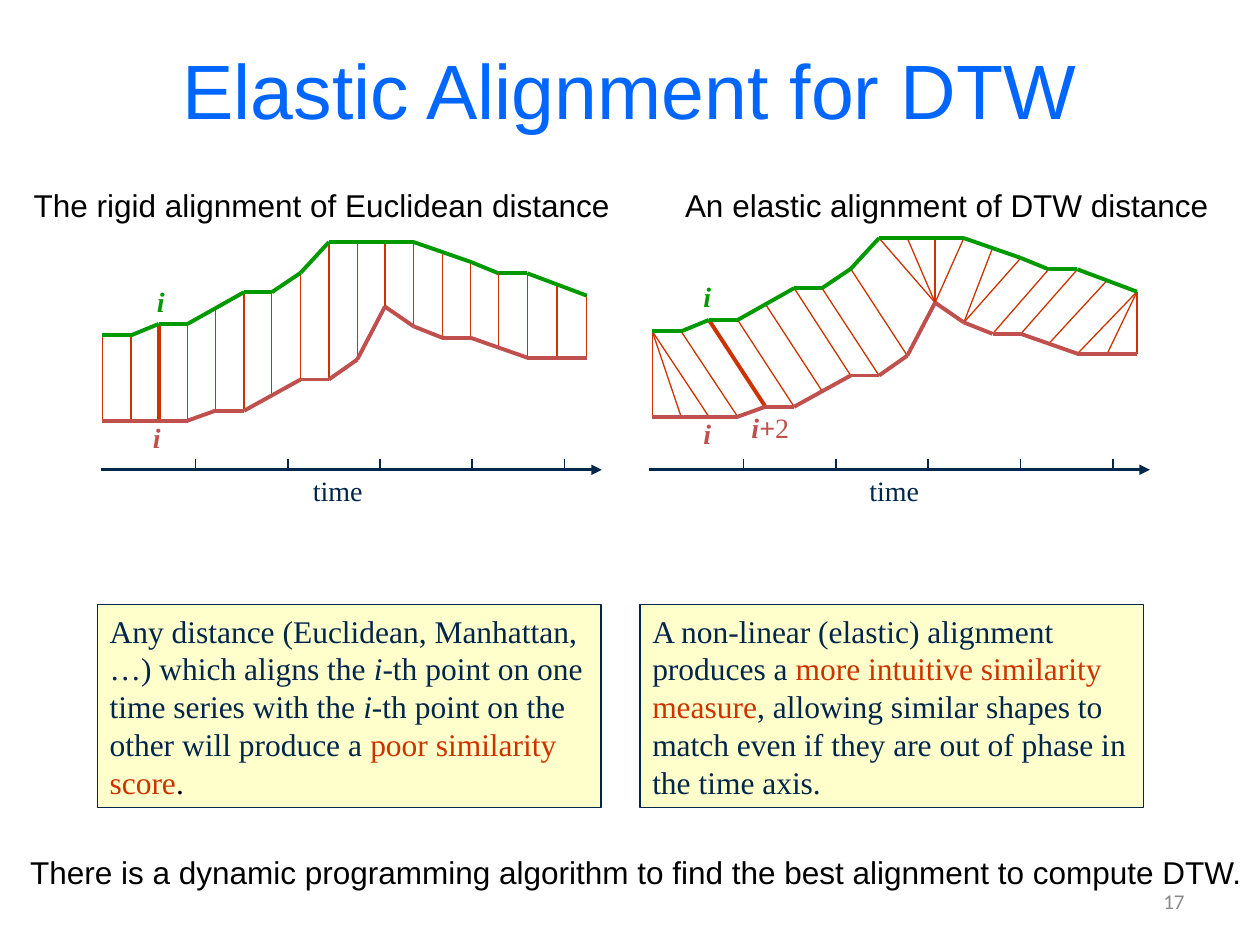
import dataclasses
import itertools

import pptx
import pptx.dml.color
import pptx.enum.shapes
import pptx.enum.text
import pptx.oxml
import pptx.oxml.ns
import pptx.util

Cm = pptx.util.Cm
Align = pptx.enum.text.PP_ALIGN
Anchor = pptx.enum.text.MSO_ANCHOR


@dataclasses.dataclass(frozen=True)
class Theme:
    blue: str = "0066FF"
    navy: str = "00264C"
    green: str = "009900"
    rose: str = "C0504D"
    red: str = "CC3300"
    cream: str = "FFFFCC"
    white: str = "FFFFFF"
    black: str = "000000"
    gray: str = "898989"
    sans: str = "Arial"
    serif: str = "Times New Roman"
    small: str = "Calibri"
    title: int = 44
    body: int = 18
    label: int = 16
    number: int = 12
    thick: float = 2.25
    thin: float = 0.75


def tint(color):
    return pptx.dml.color.RGBColor.from_string(color)


class Deck:
    def __init__(self, theme):
        self.theme = theme
        self.file = pptx.Presentation()
        self.file.slide_width = Cm(25.4)
        self.file.slide_height = Cm(19.05)
        self.slide = self.file.slides.add_slide(self.file.slide_layouts[6])
        self.shapes = self.slide.shapes

    def fill(self, shape, runs, size, face, color, align=Align.LEFT,
             anchor=Anchor.MIDDLE, wrap=True):
        """Fill a shape with one paragraph; each run is (text, style)."""
        frame = shape.text_frame
        frame.word_wrap = wrap
        frame.vertical_anchor = anchor
        para = frame.paragraphs[0]
        para.alignment = align
        para.font.size = pptx.util.Pt(size)
        para.font.name = face
        para.font.color.rgb = tint(color)
        for words, style in runs:
            run = para.add_run()
            run.text = words
            run.font.bold = style.get("bold")
            run.font.italic = style.get("italic")
            if "color" in style:
                run.font.color.rgb = tint(style["color"])

    def text(self, box, words, size, face, color, **place):
        shape = self.shapes.add_textbox(*map(Cm, box))
        self.fill(shape, [(words, {})], size, face, color, **place)

    def rect(self, box, fill, edge=None):
        kind = pptx.enum.shapes.MSO_SHAPE.RECTANGLE
        shape = self.shapes.add_shape(kind, *map(Cm, box))
        shape.shadow.inherit = False
        shape.fill.solid()
        shape.fill.fore_color.rgb = tint(fill)
        if edge:
            shape.line.color.rgb = tint(edge)
            shape.line.width = pptx.util.Pt(self.theme.thin)
        else:
            shape.line.fill.background()
        return shape

    def label(self, left, top, width, runs, color):
        shape = self.rect((left, top, width, 1.27), self.theme.white)
        self.fill(shape, runs, self.theme.label, self.theme.serif, color,
                  align=Align.CENTER, wrap=False)

    def note(self, left, runs):
        shape = self.rect((left, 12.19, 10.16, 4.09), self.theme.cream,
                          self.theme.navy)
        self.fill(shape, runs, self.theme.body, self.theme.serif,
                  self.theme.navy)

    def line(self, start, end, color, width, group=None, arrow=False):
        kind = pptx.enum.shapes.MSO_CONNECTOR.STRAIGHT
        shapes = group.shapes if group else self.shapes
        line = shapes.add_connector(kind, *map(Cm, (*start, *end)))
        line.line.color.rgb = tint(color)
        line.line.width = pptx.util.Pt(width)
        props = line._element.spPr
        space = pptx.oxml.ns.nsdecls("a")
        if arrow:
            props.find(pptx.oxml.ns.qn("a:ln")).append(
                pptx.oxml.parse_xml(f'<a:tailEnd {space} type="triangle"/>'))
        props.append(pptx.oxml.parse_xml(f"<a:effectLst {space}/>"))

    def curve(self, points, knots, color):
        """Draw straight pieces between the points where the slope turns."""
        group = self.shapes.add_group_shape()
        for a, b in itertools.pairwise(knots):
            self.line(points[a], points[b], color, self.theme.thick, group)

    def axis(self, left):
        group = self.shapes.add_group_shape()
        navy = self.theme.navy
        self.line((left, 9.47), (left + 10.1, 9.47), navy, 1.5, group, True)
        for k in range(5):
            x = left + 1.91 + 1.86 * k
            self.line((x, 9.25), (x, 9.45), navy, 1, group)

    def chart(self, dx, dy, pairs, bold):
        """Draw both series and the links between their matched points."""
        top = [(x + dx, y + dy) for x, y in zip(TIMES, UPPER)]
        low = [(x + dx, y + dy) for x, y in zip(TIMES, LOWER)]
        for pair in pairs:
            width = self.theme.thick if pair == bold else self.theme.thin
            self.line(top[pair[0]], low[pair[1]], self.theme.red, width)
        self.curve(top, UPPER_KNOTS, self.theme.green)
        self.curve(low, LOWER_KNOTS, self.theme.rose)


TIMES = [2.06, 2.64, 3.2, 3.78, 4.34, 4.92, 5.48, 6.06, 6.63,
         7.2, 7.76, 8.34, 8.92, 9.49, 10.05, 10.63, 11.23, 11.83]
UPPER = [6.76, 6.76, 6.53, 6.53, 6.21, 5.89, 5.89, 5.5, 4.88,
         4.88, 4.88, 4.88, 5.08, 5.28, 5.51, 5.51, 5.73, 5.96]
LOWER = [8.48, 8.48, 8.48, 8.48, 8.28, 8.28, 7.96, 7.65, 7.65,
         7.25, 6.18, 6.58, 6.81, 6.81, 7.01, 7.21, 7.21, 7.21]
UPPER_KNOTS = [0, 1, 2, 3, 5, 6, 7, 8, 11, 13, 14, 15, 17]
LOWER_KNOTS = [0, 3, 4, 5, 7, 8, 9, 10, 11, 12, 13, 15, 17]
RIGID = [(k, k) for k in range(18)]
ELASTIC = ([(0, 0), (0, 1), (0, 2)]
           + [(k, k + 2) for k in range(1, 9)]
           + [(9, 10), (10, 10), (11, 10), (12, 11)]
           + [(k, k - 2) for k in range(13, 18)]
           + [(17, 16), (17, 17)])


def main():
    theme = Theme()
    deck = Deck(theme)
    deck.text((1.27, 0.2, 22.86, 3.18), "Elastic Alignment for DTW",
              theme.title, theme.sans, theme.blue, align=Align.CENTER)
    deck.text((18.21, 17.65, 5.92, 1.02), "17", theme.number, theme.small,
              theme.gray, align=Align.RIGHT)

    slant = {"italic": True}
    strong = {"bold": True, "italic": True}
    for left, top, color in [(3.05, 5.44, theme.green),
                             (2.97, 8.18, theme.rose),
                             (14.07, 5.33, theme.green),
                             (14.07, 8.1, theme.rose)]:
        deck.label(left, top, 0.38, [("i", strong)], color)
    deck.label(15.16, 7.98, 0.74, [("i+", strong), ("2", {})], theme.rose)
    for left in (6.43, 17.65):
        deck.label(left, 9.25, 0.76, [("time", {})], theme.navy)

    red = {"color": theme.red}
    deck.note(1.96, [
        ("Any distance (Euclidean, Manhattan, …) which aligns the ", {}),
        ("i", slant),
        ("-th point on one time series with the ", {}),
        ("i", slant),
        ("-th point on the other will produce a ", {}),
        ("poor similarity score", red),
        (".", {"color": theme.black})])
    deck.note(12.9, [
        ("A non-linear (elastic) alignment produces a ", {}),
        ("more intuitive similarity measure", red),
        (", allowing similar shapes to match even if they are out of phase "
         "in the time axis.", {})])

    for left in (2.03, 13.08):
        deck.axis(left)
    deck.chart(0, 0, RIGID, (2, 2))
    deck.chart(11.09, -0.08, ELASTIC, (2, 4))

    for left, top, width, words in [
            (0.43, 3.63, 12.24, "The rigid alignment of Euclidean distance"),
            (13.56, 3.63, 11.2, "An elastic alignment of DTW distance"),
            (0.36, 17.07, 25.17, "There is a dynamic programming algorithm "
             "to find the best alignment to compute DTW.")]:
        deck.text((left, top, width, 1.02), words, theme.body, theme.sans,
                  theme.black, anchor=Anchor.TOP, wrap=False)
    deck.file.save("out.pptx")


if __name__ == "__main__":
    main()
